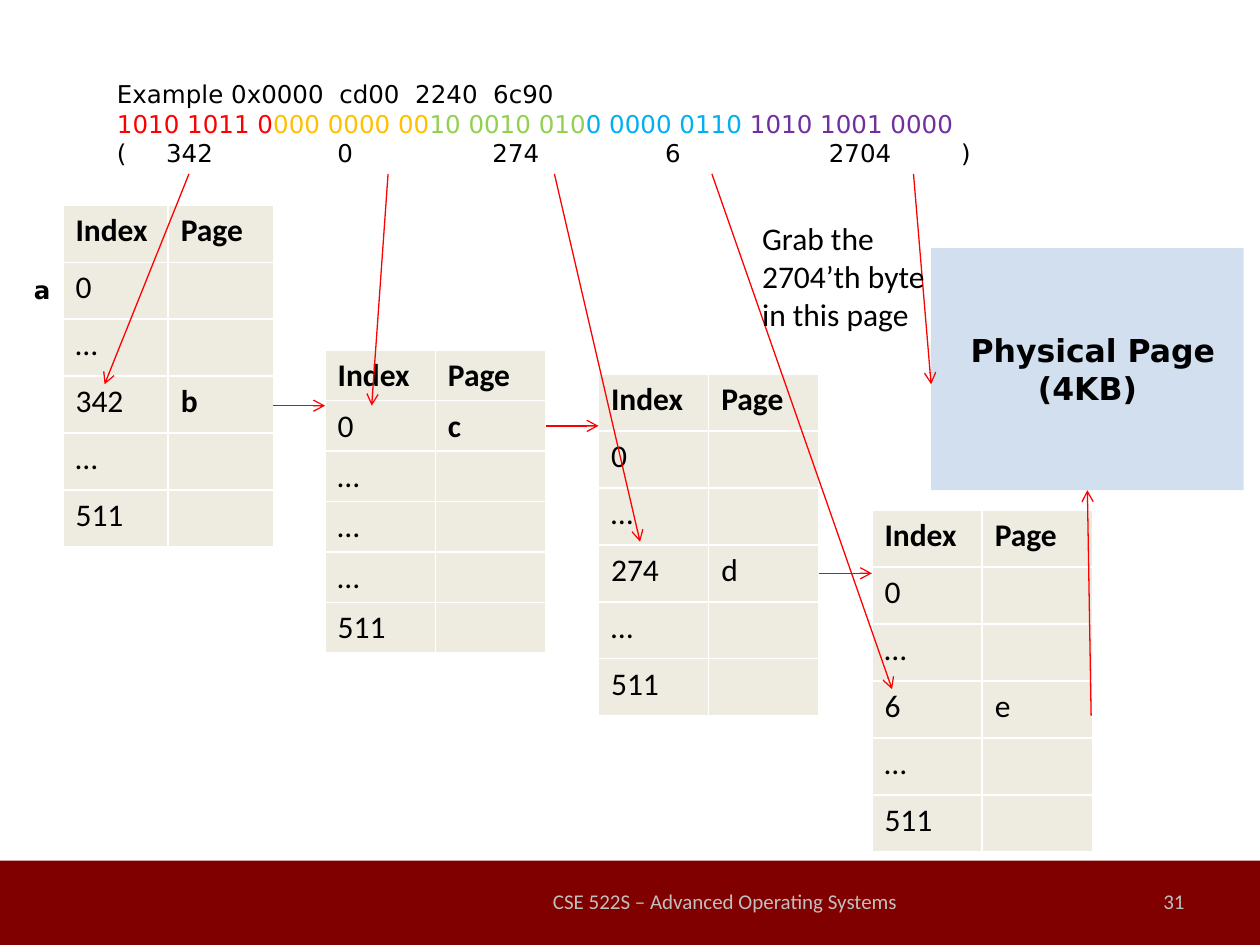
from lxml import etree
from pptx import Presentation
from pptx.dml.color import RGBColor
from pptx.enum.shapes import MSO_CONNECTOR, MSO_SHAPE
from pptx.enum.text import MSO_ANCHOR as Anchor, PP_ALIGN as Align
from pptx.oxml.ns import qn
from pptx.util import Inches, Pt

BLACK = RGBColor(0x00, 0x00, 0x00)
MAROON = RGBColor(0x80, 0x00, 0x00)
CREAM = RGBColor(0xEE, 0xEC, 0xE1)
BLUE = RGBColor(0x4F, 0x81, 0xBD)
GRAY = RGBColor(0xBF, 0xBF, 0xBF)
RED = RGBColor(0xFF, 0x00, 0x00)
ORANGE = RGBColor(0xFF, 0xC0, 0x00)
GREEN = RGBColor(0x92, 0xD0, 0x50)
SKY = RGBColor(0x00, 0xB0, 0xF0)
PURPLE = RGBColor(0x70, 0x30, 0xA0)
SANS, MONO = "Calibri", "DejaVu Sans"

ADDRESS_BITS = [
    ("1010 1011 0", RED),
    ("000 0000 00", ORANGE),
    ("10 0010 010", GREEN),
    ("0 0000 0110 ", SKY),
    ("1010 1001 0000", PURPLE),
]
INDEX_TABS = [0.39, 1.75, 2.98, 4.35, 5.65, 6.7]

# Box (left, top, width, height), row labels, and {row: page entry, bold}
PAGE_TABLES = [
    ((0.5, 1.63, 1.67, 2.71), ["0", "…", "342", "…", "511"], (3, "b", True)),
    ((2.58, 2.78, 1.75, 2.4), ["0", "…", "…", "…", "511"], (1, "c", True)),
    ((4.75, 2.97, 1.75, 2.71), ["0", "…", "274", "…", "511"], (3, "d", False)),
    ((6.92, 4.05, 1.75, 2.71), ["0", "…", "6", "…", "511"], (3, "e", False)),
]
# From an index of the address to its table row, then from entry to next table
ARROWS = [
    ((1.5, 1.38), (0.83, 3.05)),
    ((3.08, 1.38), (2.95, 3.22)),
    ((4.4, 1.38), (5.08, 4.3)),
    ((5.65, 1.38), (7.08, 5.47)),
    ((7.25, 1.38), (7.39, 3.05)),
    ((2.17, 3.22), (2.58, 3.22)),
    ((4.33, 3.38), (4.75, 3.38)),
    ((6.5, 4.55), (6.92, 4.55)),
]


def inches(box):
    return [Inches(value) for value in box]


def style(paragraph, size, name, color=BLACK, bold=False, align=Align.LEFT):
    font = paragraph.font
    font.size, font.name, font.bold = Pt(size), name, bold
    font.color.rgb = color
    paragraph.alignment = align


def add_text(slide, box, text, size, name, wrap=True, anchor=Anchor.TOP, **options):
    frame = slide.shapes.add_textbox(*inches(box)).text_frame
    frame.word_wrap = wrap
    frame.vertical_anchor = anchor
    frame.text = text
    for paragraph in frame.paragraphs:
        style(paragraph, size, name, **options)
    return frame


def add_rectangle(slide, box, color):
    shape = slide.shapes.add_shape(MSO_SHAPE.RECTANGLE, *inches(box))
    shape.shadow.inherit = False
    shape.fill.solid()
    shape.fill.fore_color.rgb = color
    shape.line.fill.background()
    return shape


def add_arrow(slide, start, end):
    connector = slide.shapes.add_connector(
        MSO_CONNECTOR.STRAIGHT, *inches(start), *inches(end))
    connector.line.color.rgb = RED
    connector.line.width = Pt(0.75)
    line = connector.line._get_or_add_ln()
    etree.SubElement(line, qn("a:tailEnd"), type="arrow")
    etree.SubElement(connector._element.spPr, qn("a:effectLst"))
    return connector


def add_footer(slide, box):
    left, top, width, height = box
    add_rectangle(slide, box, MAROON)
    common = dict(size=12, name=SANS, color=GRAY, anchor=Anchor.MIDDLE)
    add_text(slide, (left + 4.17, top + 0.12, 3.17, 0.4),
             "CSE 522S – Advanced Operating Systems", align=Align.CENTER, **common)
    add_text(slide, (left + 7.17, top + 0.12, 2.33, 0.4), "31",
             align=Align.RIGHT, **common)


def add_address(slide, box):
    indexes = "\t".join(["(", "342", "0", "274", "6", "2704", ")"])
    frame = add_text(slide, box, "Example 0x0000  cd00  2240  6c90\n\n" + indexes,
                     14, MONO)
    _, bits, index_line = frame.paragraphs
    for text, color in ADDRESS_BITS:
        run = bits.add_run()
        run.text = text
        run.font.color.rgb = color
    # Tab stops sit before the default run properties
    tabs = etree.Element(qn("a:tabLst"))
    for position in INDEX_TABS:
        etree.SubElement(tabs, qn("a:tab"), pos=str(Inches(position)), algn="l")
    index_line._p.pPr.insert(0, tabs)


def add_page_table(slide, box, labels, entry):
    rows = [["Index", "Page"]] + [[label, ""] for label in labels]
    entry_row, entry_text, entry_bold = entry
    rows[entry_row][1] = entry_text
    table = slide.shapes.add_table(len(rows), 2, *inches(box)).table
    table.horz_banding = False
    for row in table.rows:
        row.height = Inches(box[3] / len(rows))
    for row, texts in enumerate(rows):
        for column, text in enumerate(texts):
            cell = table.cell(row, column)
            cell.fill.solid()
            cell.fill.fore_color.rgb = CREAM
            cell.text = text
            bold = row == 0 or (entry_bold and text == entry_text)
            style(cell.text_frame.paragraphs[0], 18, SANS, bold=bold)


def add_physical_page(slide, box):
    page = add_rectangle(slide, box, BLUE)
    color = page.fill._xPr.find(qn("a:solidFill"))[0]
    etree.SubElement(color, qn("a:alpha"), val="25000")
    frame = page.text_frame
    frame.word_wrap = True
    frame.vertical_anchor = Anchor.MIDDLE
    paragraph = frame.paragraphs[0]
    paragraph.text = " Physical Page\v(4KB)"
    style(paragraph, 18, MONO, bold=True, align=Align.CENTER)
    return page


def main():
    presentation = Presentation()
    presentation.slide_width, presentation.slide_height = Inches(10), Inches(7.5)
    slide = presentation.slides.add_slide(presentation.slide_layouts[6])

    add_footer(slide, (0, 6.83, 10, 0.67))
    add_address(slide, (0.83, 0.58, 9.17, 0.79))

    # Four levels of page tables
    add_text(slide, (0.17, 2.13, 0.3, 0.34), "a", 14, MONO, wrap=False, bold=True)
    for box, labels, entry in PAGE_TABLES:
        add_page_table(slide, box, labels, entry)

    # Physical page and the way to it
    page = add_physical_page(slide, (7.39, 1.97, 2.48, 1.92))
    for start, end in ARROWS:
        add_arrow(slide, start, end)
    add_arrow(slide, (8.66, 5.68), (8.63, 3.89)).end_connect(page, 2)
    add_text(slide, (5.95, 1.69, 1.51, 1.01),
             "Grab the\n2704’th byte\nin this page", 18, SANS, wrap=False)

    presentation.save("out.pptx")


if __name__ == "__main__":
    main()
